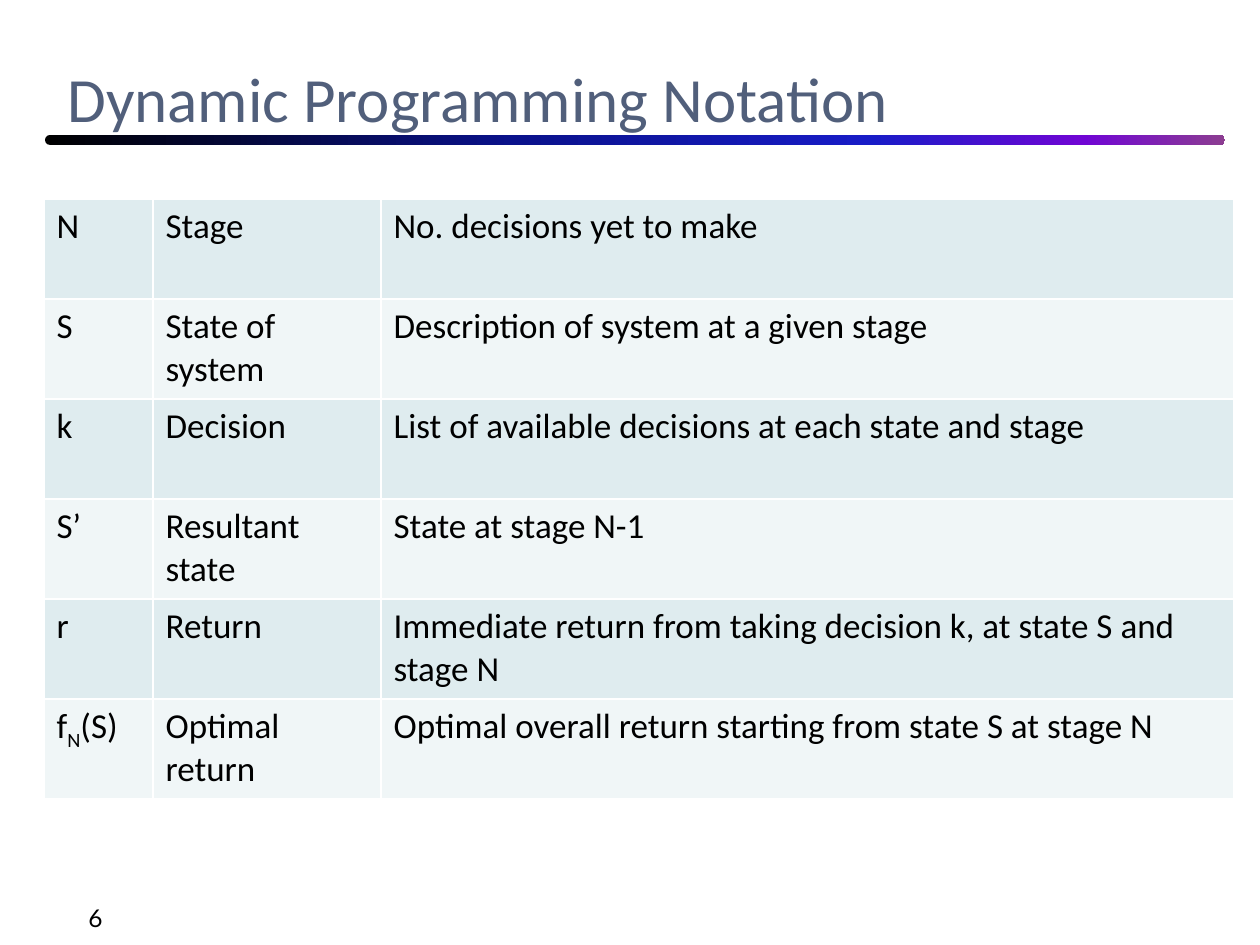
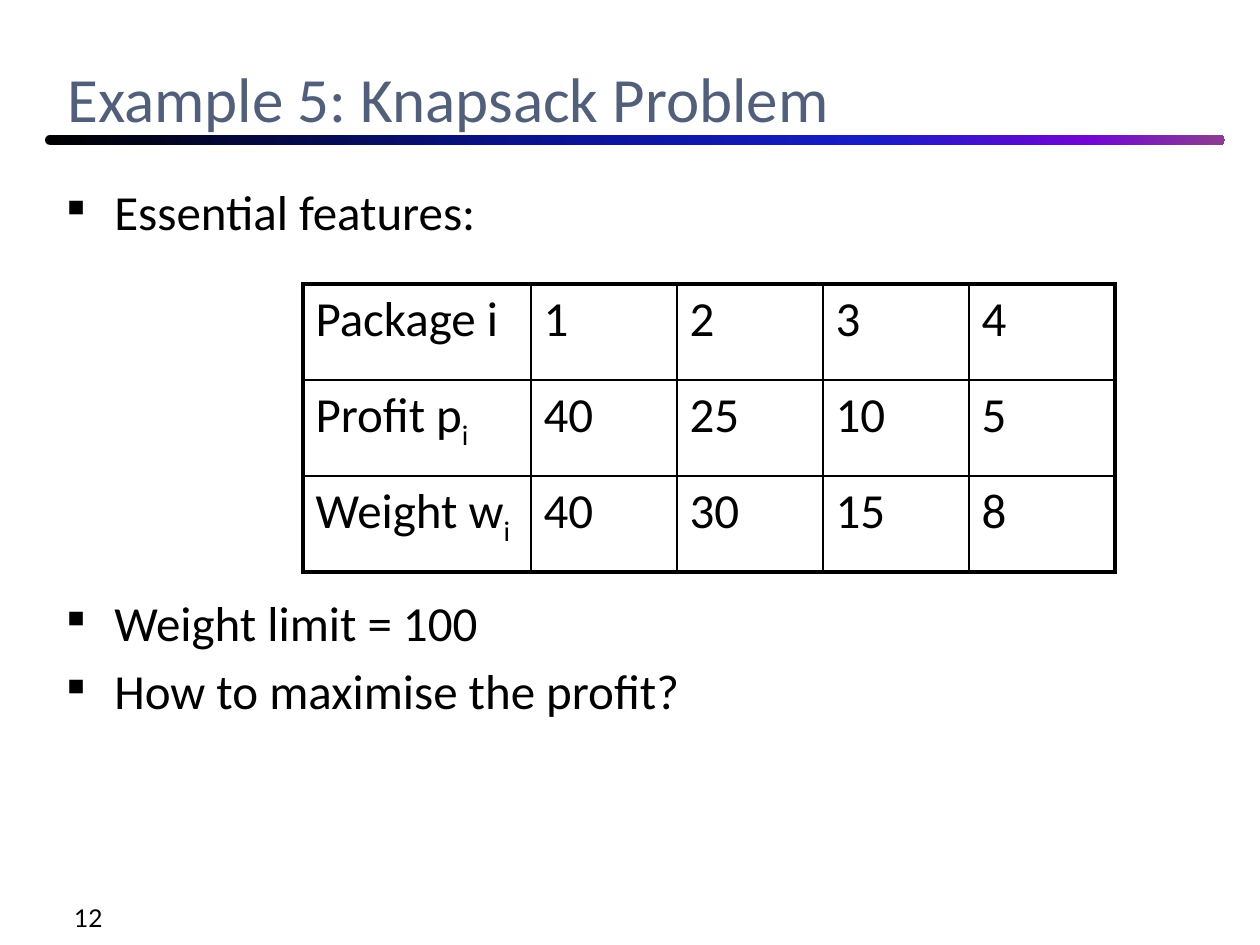
from dataclasses import dataclass

from lxml.etree import SubElement
from pptx import Presentation
from pptx.dml.color import RGBColor
from pptx.enum.shapes import MSO_SHAPE as Preset
from pptx.enum.text import MSO_ANCHOR as Anchor, PP_ALIGN as Align
from pptx.oxml.ns import qn
from pptx.util import Emu, Pt

EMU_PER_PIXEL = 914400 / 126
BLACK = RGBColor(0x00, 0x00, 0x00)
WHITE = RGBColor(0xFF, 0xFF, 0xFF)
SLATE = RGBColor(0x51, 0x5F, 0x7B)
BAND_DARK = RGBColor(0xDF, 0xEC, 0xEF)
BAND_LIGHT = RGBColor(0xF0, 0xF6, 0xF7)
RULE_STOPS = (
    (0, BLACK),
    (40, RGBColor(0x0A, 0x12, 0x8C)),
    (70, RGBColor(0x18, 0x1C, 0xC7)),
    (88, RGBColor(0x70, 0x05, 0xD4)),
    (100, RGBColor(0x8C, 0x3D, 0x91)),
)
BODY_FONT = "Calibri"
NUMBER_FONT = "Lato"
THIN, THICK = 1, 2.25


@dataclass(frozen=True)
class Box:
    left: int
    top: int
    width: int
    height: int

    def emu(self) -> tuple:
        return tuple(pixels(n) for n in (self.left, self.top, self.width, self.height))


@dataclass(frozen=True)
class Grid:
    left: int
    top: int
    columns: tuple
    row_height: int
    size: int
    line: RGBColor
    outer_width: float
    bands: tuple
    rows: tuple


@dataclass(frozen=True)
class Bullet:
    text: str
    space_before: float


RULE = Box(45, 135, 1180, 10)
TITLE = Box(55, 26, 1173, 119)
NUMBER = Box(44, 884, 71, 54)
BODY = Box(55, 182, 1184, 655)

NOTATION = Grid(
    44, 199, (109, 228, 853), 100, 20, WHITE, THIN, (BAND_DARK, BAND_LIGHT),
    (
        ("N", "Stage", "No. decisions yet to make"),
        ("S", "State of system", "Description of system at a given stage"),
        ("k", "Decision", "List of available decisions at each state and stage"),
        ("S’", "Resultant state", "State at stage N-1"),
        ("r", "Return", "Immediate return from taking decision k, at state S and stage N"),
        ("f_N_(S)", "Optimal return", "Optimal overall return starting from state S at stage N"),
    ),
)
PACKAGES = Grid(
    303, 284, (228,) + (146,) * 4, 96, 28, BLACK, THICK, (),
    (
        ("Package i", "1", "2", "3", "4"),
        ("Profit p_i", "40", "25", "10", "5"),
        ("Weight w_i", "40", "30", "15", "8"),
    ),
)
FEATURES = (
    Bullet("Essential features:", 0),
    Bullet("Weight limit = 100", 201),
    Bullet("How to maximise the profit?", 5),
)


def pixels(count: float) -> Emu:
    """Turn pixels into EMU."""
    return Emu(round(count * EMU_PER_PIXEL))


def style(paragraph, size: int, color: RGBColor = BLACK, font: str = BODY_FONT) -> None:
    """Format every run of a paragraph."""
    for run in paragraph.runs:
        run.font.size = Pt(size)
        run.font.name = font
        run.font.color.rgb = color


def add_text_frame(slide, box: Box, anchor: Anchor, inset: int = 0):
    """Add a wrapping text box with the given vertical inset."""
    text_frame = slide.shapes.add_textbox(*box.emu()).text_frame
    text_frame.word_wrap = True
    text_frame.vertical_anchor = anchor
    text_frame.margin_top = text_frame.margin_bottom = pixels(inset)
    return text_frame


def add_rule(slide) -> None:
    """Draw the rounded gradient bar under the title."""
    shape = slide.shapes.add_shape(Preset.ROUNDED_RECTANGLE, *RULE.emu())
    shape.adjustments[0] = 0.5
    shape.shadow.inherit = False
    shape.line.fill.background()
    shape.fill.gradient()
    shape.fill.gradient_angle = 0
    stops = next(shape._element.iter(qn("a:gsLst")))
    for stop in list(stops):
        stops.remove(stop)
    for position, color in RULE_STOPS:
        stop = SubElement(stops, qn("a:gs"), pos=str(position * 1000))
        SubElement(stop, qn("a:srgbClr"), val=str(color))


def add_slide(presentation, title: str, number: int):
    """Add a slide with its rule, page number and title."""
    slide = presentation.slides.add_slide(presentation.slide_layouts[6])
    add_rule(slide)
    number_frame = add_text_frame(slide, NUMBER, Anchor.BOTTOM, 6)
    number_frame.text = str(number)
    number_frame.paragraphs[0].alignment = Align.RIGHT
    style(number_frame.paragraphs[0], 14, font=NUMBER_FONT)
    title_frame = add_text_frame(slide, TITLE, Anchor.BOTTOM, 10)
    title_frame.text = title
    style(title_frame.paragraphs[0], 36, SLATE)
    return slide


def add_bullets(slide, bullets: tuple) -> None:
    """Write the square-bulleted body text."""
    text_frame = add_text_frame(slide, BODY, Anchor.TOP)
    for index, bullet in enumerate(bullets):
        paragraph = text_frame.add_paragraph() if index else text_frame.paragraphs[0]
        paragraph.text = bullet.text
        paragraph.space_before = Pt(bullet.space_before)
        style(paragraph, 28)
        properties = paragraph._p.get_or_add_pPr()
        properties.set("marL", str(pixels(47)))
        properties.set("indent", str(pixels(-47)))
        color = SubElement(properties, qn("a:buClr"))
        SubElement(color, qn("a:srgbClr"), val=str(BLACK))
        SubElement(properties, qn("a:buSzPct"), val="48000")
        SubElement(properties, qn("a:buChar"), char="■")


def write_cell(cell, text: str, size: int) -> None:
    """Write cell text, lowering the parts between underscores."""
    paragraph = cell.text_frame.paragraphs[0]
    for index, part in enumerate(text.split("_")):
        run = paragraph.add_run()
        run.text = part
        if index % 2:
            run._r.get_or_add_rPr().set("baseline", "-25000")
    style(paragraph, size)


def set_borders(cell, color: RGBColor, widths: dict) -> None:
    """Set the four cell borders, keyed by side letter."""
    properties = cell._tc.get_or_add_tcPr()
    for side, width in widths.items():
        line = SubElement(properties, qn(f"a:ln{side}"), w=str(Pt(width)))
        fill = SubElement(line, qn("a:solidFill"))
        SubElement(fill, qn("a:srgbClr"), val=str(color))


def add_grid(slide, grid: Grid) -> None:
    """Draw a table with its borders and row bands."""
    row_count, column_count = len(grid.rows), len(grid.columns)
    box = Box(grid.left, grid.top, sum(grid.columns), grid.row_height * row_count)
    table = slide.shapes.add_table(row_count, column_count, *box.emu()).table
    table.first_row = table.horz_banding = False
    for column, width in zip(table.columns, grid.columns):
        column.width = pixels(width)
    for row_index, texts in enumerate(grid.rows):
        table.rows[row_index].height = pixels(grid.row_height)
        for column_index, text in enumerate(texts):
            cell = table.cell(row_index, column_index)
            write_cell(cell, text, grid.size)
            on_edge = {
                "L": column_index == 0,
                "R": column_index == column_count - 1,
                "T": row_index == 0,
                "B": row_index == row_count - 1,
            }
            widths = {side: grid.outer_width if edge else THIN for side, edge in on_edge.items()}
            set_borders(cell, grid.line, widths)
            if grid.bands:
                cell.fill.solid()
                cell.fill.fore_color.rgb = grid.bands[row_index % len(grid.bands)]
            else:
                cell.fill.background()


def main() -> None:
    """Build and save the presentation."""
    presentation = Presentation()
    presentation.slide_width, presentation.slide_height = pixels(1260), pixels(945)
    add_grid(add_slide(presentation, "Dynamic Programming Notation", 6), NOTATION)
    knapsack = add_slide(presentation, "Example 5: Knapsack Problem", 12)
    add_bullets(knapsack, FEATURES)
    add_grid(knapsack, PACKAGES)
    presentation.save("out.pptx")


main()
